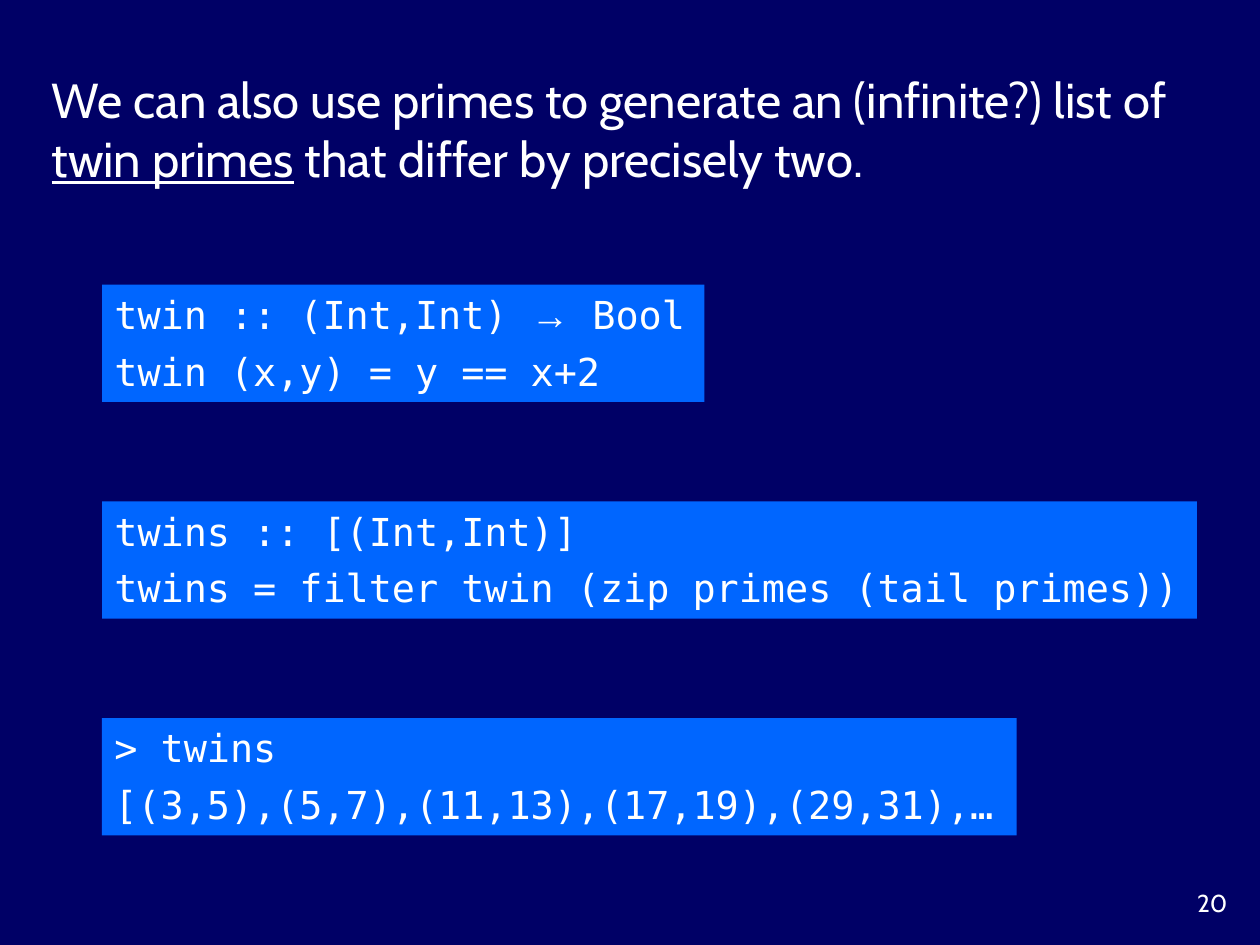
from pptx import Presentation
from pptx.dml.color import RGBColor
from pptx.enum.shapes import MSO_SHAPE
from pptx.enum.text import MSO_ANCHOR, MSO_AUTO_SIZE, PP_ALIGN
from pptx.util import Inches, Pt

NAVY = RGBColor(0x00, 0x00, 0x66)
BLUE = RGBColor(0x00, 0x66, 0xFF)
WHITE = RGBColor(0xFF, 0xFF, 0xFF)
SANS, MONO, SERIF = "Cabin", "DejaVu Sans Mono", "Times New Roman"

CODE_LEFT, CODE_TOP, CODE_STEP, CODE_HEIGHT = 0.81, 2.26, 1.72, 0.93
# Width of each code box and its lines
CODE_BOXES = [
    (4.78, ["twin :: (Int,Int) → Bool",
            "twin (x,y) = y == x+2"]),
    (8.69, ["twins :: [(Int,Int)]",
            "twins = filter twin (zip primes (tail primes))"]),
    (7.26, ["> twins",
            "[(3,5),(5,7),(11,13),(17,19),(29,31),…"]),
]


def add_run(paragraph, text, size, name, underline=False):
    run = paragraph.add_run()
    run.text = text
    run.font.color.rgb = WHITE
    font_format = {"size": Pt(size), "name": name, "underline": underline}
    for attribute, value in font_format.items():
        setattr(run.font, attribute, value)


def set_frame(frame, anchor):
    frame_format = {"word_wrap": True, "auto_size": MSO_AUTO_SIZE.NONE,
                    "vertical_anchor": anchor}
    for attribute, value in frame_format.items():
        setattr(frame, attribute, value)


def fill_title(title):
    place = {"left": 0.31, "top": 0.5, "width": 9.38, "height": 1.04}
    for attribute, value in place.items():
        setattr(title, attribute, Inches(value))
    set_frame(title.text_frame, MSO_ANCHOR.MIDDLE)
    paragraph = title.text_frame.paragraphs[0]
    paragraph.alignment = PP_ALIGN.LEFT
    add_run(paragraph, "We can also use primes to generate an (infinite?) list of ", 28, SANS)
    add_run(paragraph, "twin primes", 28, SANS, underline=True)
    add_run(paragraph, " that differ by precisely two.", 28, SANS)


def add_code_box(slide, top, width, lines):
    box = slide.shapes.add_shape(MSO_SHAPE.RECTANGLE, Inches(CODE_LEFT), Inches(top),
                                 Inches(width), Inches(CODE_HEIGHT))
    box.shadow.inherit = False
    box.fill.solid()
    box.fill.fore_color.rgb = BLUE
    box.line.fill.background()
    frame = box.text_frame
    set_frame(frame, MSO_ANCHOR.TOP)
    for index, line in enumerate(lines):
        paragraph = frame.add_paragraph() if index else frame.paragraphs[0]
        paragraph.alignment = PP_ALIGN.LEFT
        paragraph.space_after = Pt(6)
        # The arrow is set in the serif font
        before, arrow, after = line.partition("→")
        for text, name in ((before, MONO), (arrow, SERIF), (after, MONO)):
            if text:
                add_run(paragraph, text, 22, name)


def add_page_number(slide, number):
    page = slide.shapes.add_textbox(Inches(9.17), Inches(7), Inches(0.67), Inches(0.33))
    set_frame(page.text_frame, MSO_ANCHOR.TOP)
    paragraph = page.text_frame.paragraphs[0]
    paragraph.alignment = PP_ALIGN.RIGHT
    add_run(paragraph, number, 14, SANS)


def main():
    presentation = Presentation()
    presentation.slide_width = Inches(10)
    presentation.slide_height = Inches(7.5)
    slide = presentation.slides.add_slide(presentation.slide_layouts[5])
    slide.background.fill.solid()
    slide.background.fill.fore_color.rgb = NAVY

    fill_title(slide.shapes.title)
    for index, (width, lines) in enumerate(CODE_BOXES):
        add_code_box(slide, CODE_TOP + index * CODE_STEP, width, lines)
    add_page_number(slide, "20")
    presentation.save("out.pptx")


if __name__ == "__main__":
    main()
